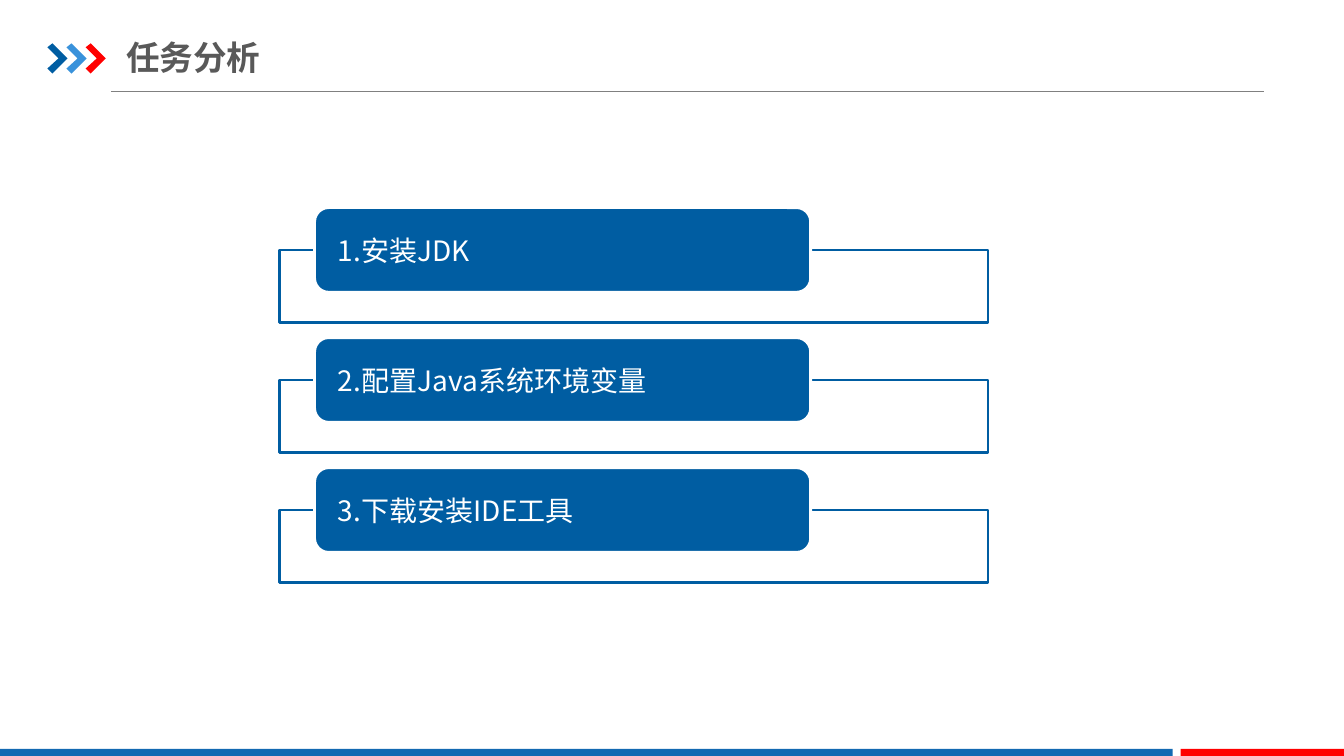
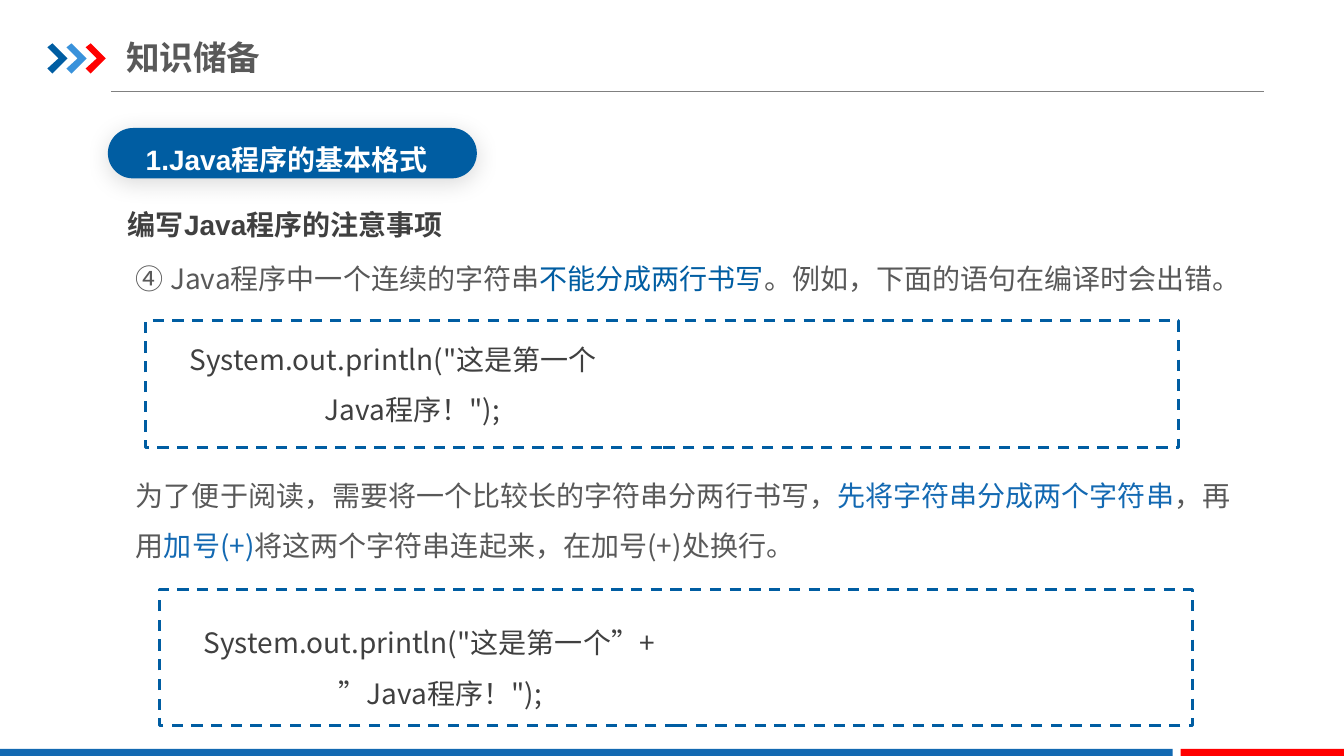
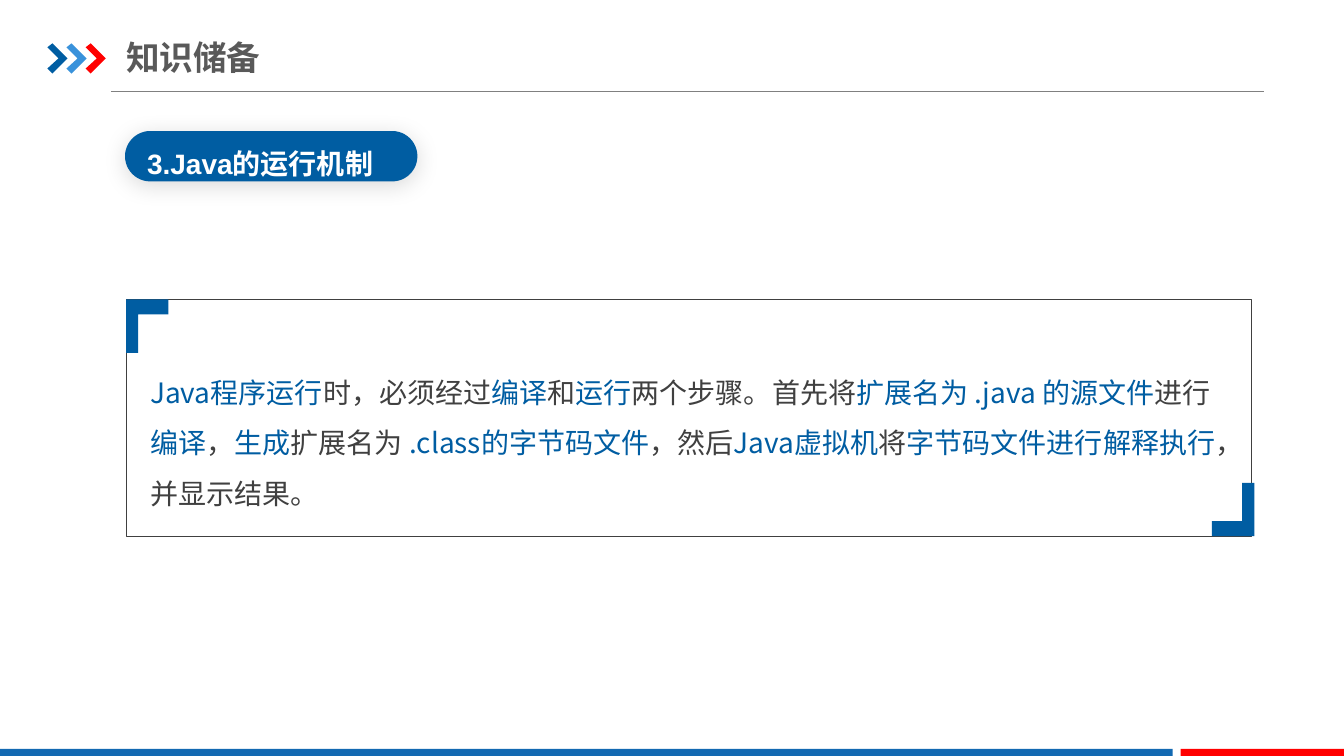
"""Build three Java course slides that share one decorated layout."""
from dataclasses import dataclass

from lxml import etree
from pptx import Presentation
from pptx.dml.color import RGBColor
from pptx.enum.dml import MSO_LINE
from pptx.enum.shapes import MSO_CONNECTOR, MSO_SHAPE
from pptx.enum.text import MSO_ANCHOR, PP_ALIGN
from pptx.oxml.ns import qn
from pptx.util import Inches, Pt


@dataclass(frozen=True)
class Theme:
    blue: str = "005DA2"
    bright: str = "1369B2"
    sky: str = "3992DB"
    red: str = "FF0000"
    white: str = "FFFFFF"
    rule: str = "808080"
    gray: str = "595959"
    dark: str = "404040"
    cjk: str = "Noto Sans CJK SC"
    latin: str = "Arial"
    title: int = 24
    body: int = 20


T = Theme()

STEPS = ["1.安装JDK", "2.配置Java系统环境变量", "3.下载安装IDE工具"]

NOTES_HEAD = "编写Java程序的注意事项"
NOTES = [
    ((1.25, 2.38, 11.26, 0.6), [
        ("④ Java程序中一个连续的字符串", T.gray),
        ("不能分成两行书写", T.blue),
        ("。例如，下面的语句在编译时会出错。", T.gray)]),
    ((1.25, 4.53, 11.07, 1.11), [
        ("为了便于阅读，需要将一个比较长的字符串分两行书写，", T.gray),
        ("先将字符串分成两个字符串", T.bright),
        ("，再用", T.gray),
        ("加号(+)", T.bright),
        ("将这两个字符串连起来，在加号(+)处换行。", T.gray)]),
]
CODE = [
    ((1.44, 3.18, 10.25, 1.26), 0.05,
     ['System.out.println("这是第一个', 'Java程序！");']),
    ((1.58, 5.85, 10.25, 1.35), 0.19,
     ['System.out.println("这是第一个”+', '”Java程序！");']),
]
CODE_INDENT = 1.34

RUNTIME = [
    ("Java程序运行", T.blue), ("时，必须经过", T.dark), ("编译", T.blue),
    ("和", T.dark), ("运行", T.blue), ("两个步骤。首先将", T.dark),
    ("扩展名为 .java 的源文件", T.blue), ("进行", T.dark), ("编译", T.blue),
    ("，", T.dark), ("生成", T.blue), ("扩展名为", T.dark),
    (" .class的字节码文件", T.blue), ("，然后", T.dark),
    ("Java虚拟机", T.blue), ("将", T.dark),
    ("字节码文件进行解释执行", T.blue), ("，并显示结果。", T.dark),
]


def rgb(color):
    return RGBColor.from_string(color)


def box(at):
    return [Inches(v) for v in at]


def style(r, color, size=T.body, font=T.cjk, bold=False):
    r.font.size, r.font.bold, r.font.name = Pt(size), bold, font
    r.font.color.rgb = rgb(color)
    ea = etree.SubElement(r.font._element, qn("a:ea"))
    ea.set("typeface", T.cjk)


def frame(tf, insets=(0.1, 0.05, 0.1, 0.05), anchor=MSO_ANCHOR.TOP):
    tf.word_wrap = True
    tf.vertical_anchor = anchor
    (tf.margin_left, tf.margin_top,
     tf.margin_right, tf.margin_bottom) = box(insets)


def write(tf, paragraphs, spacing=None, align=PP_ALIGN.LEFT, **look):
    for i, runs in enumerate(paragraphs):
        p = tf.paragraphs[0] if i == 0 else tf.add_paragraph()
        p.alignment = align
        if spacing:
            p.line_spacing = spacing
        for text, color in runs:
            r = p.add_run()
            r.text = text
            style(r, color, **look)


def paint(sp, fill=None, line=None, width=2):
    sp.shadow.inherit = False
    if fill:
        sp.fill.solid()
        sp.fill.fore_color.rgb = rgb(fill)
    else:
        sp.fill.background()
    if line:
        sp.line.color.rgb = rgb(line)
        sp.line.width = Pt(width)
    else:
        sp.line.fill.background()
    return sp


def shape(s, at, kind=MSO_SHAPE.RECTANGLE, **colors):
    return paint(s.shapes.add_shape(kind, *box(at)), **colors)


def polygon(s, points, fill):
    start, *rest = [tuple(box(pt)) for pt in points]
    fb = s.shapes.build_freeform(*start)
    fb.add_line_segments(rest, close=True)
    return paint(fb.convert_to_shape(), fill=fill)


def textbox(s, at, paragraphs, **look):
    tf = s.shapes.add_textbox(*box(at)).text_frame
    frame(tf)
    write(tf, paragraphs, **look)


def pill(s, at, label_at, text):
    sp = shape(s, at, MSO_SHAPE.ROUNDED_RECTANGLE, fill=T.blue)
    sp.adjustments[0] = 0.5
    effects = sp.element.spPr.find(qn("a:effectLst"))
    shadow = etree.SubElement(effects, qn("a:outerShdw"), blurRad=str(Pt(17)),
                              dist=str(Pt(3)), dir="5400000", rotWithShape="0")
    color = etree.SubElement(shadow, qn("a:srgbClr"), val="000000")
    etree.SubElement(color, qn("a:alpha"), val="15000")
    textbox(s, label_at, [[(text, T.white)]], spacing=1.35,
            align=PP_ALIGN.CENTER, font=T.latin, bold=True)


def decorate(layout, s):
    """Draw the shared parts on a slide and move them to its layout."""
    rule = s.shapes.add_connector(MSO_CONNECTOR.STRAIGHT,
                                  *box((1.1, 0.91, 12.54, 0.91)))
    rule.line.color.rgb = rgb(T.rule)
    rule.line.width = Pt(0.75)
    etree.SubElement(rule.element.spPr, qn("a:effectLst"))
    parts = [rule]
    chevron = [(0, 0.47), (0.05, 0.43), (0.2, 0.58),
               (0.05, 0.73), (0, 0.68), (0.11, 0.58)]
    for i, color in enumerate((T.blue, T.sky, T.red)):
        left = 0.47 + 0.19 * i
        parts.append(polygon(s, [(left + x, y) for x, y in chevron], color))
    for left, width, color in ((0, 11.63, T.bright), (11.71, 1.63, T.red)):
        parts.append(shape(s, (left, 7.43, width, 0.09), fill=color))
    for part in parts:
        layout.shapes.element.append(part.element)


def prepare(layout):
    title, *others = layout.placeholders
    for ph in others:
        ph.element.getparent().remove(ph.element)
    title.left, title.top, title.width, title.height = box(
        (1.25, 0.29, 4.26, 0.55))


def new_slide(prs, layout, title):
    s = prs.slides.add_slide(layout)
    tf = s.shapes.title.text_frame
    tf.text = title
    frame(tf, (0, 0.07, 0, 0.07), MSO_ANCHOR.MIDDLE)
    tf.paragraphs[0].alignment = PP_ALIGN.LEFT
    style(tf.paragraphs[0].runs[0], T.gray, T.title, bold=True)
    return s


def steps_slide(s):
    for i, text in enumerate(STEPS):
        top = 2.06 + 1.29 * i
        shape(s, (2.77, top + 0.42, 7.03, 0.72), fill=T.white, line=T.blue)
        sp = shape(s, (3.12, top, 4.92, 0.84), MSO_SHAPE.ROUNDED_RECTANGLE,
                   fill=T.blue, line=T.white)
        frame(sp.text_frame, (0.19, 0, 0.19, 0), MSO_ANCHOR.MIDDLE)
        write(sp.text_frame, [[(text, T.white)]])


def format_slide(s):
    pill(s, (1.07, 1.27, 3.66, 0.5), (0.98, 1.25, 3.73, 0.55),
         "1.Java程序的基本格式")
    textbox(s, (1.17, 2.01, 3.92, 0.44), [[(NOTES_HEAD, T.dark)]],
            font=T.latin, bold=True)
    for at, runs in NOTES:
        textbox(s, at, [runs], spacing=1.5)
    for at, top, lines in CODE:
        sp = shape(s, at, line=T.blue)
        sp.line.dash_style = MSO_LINE.DASH
        tf = sp.text_frame
        frame(tf, (0.44, top, 0.1, 0.05))
        write(tf, [[(line, T.dark)] for line in lines], spacing=1.5)
        pPr = tf.paragraphs[1]._p.get_or_add_pPr()
        pPr.set("marL", str(Inches(CODE_INDENT)))


def runtime_slide(s):
    pill(s, (1.24, 1.3, 2.9, 0.5), (1.25, 1.29, 2.66, 0.55),
         "3.Java的运行机制")
    sp = shape(s, (1.25, 2.97, 11.16, 2.35), line=T.dark, width=0.25)
    frame(sp.text_frame, (0.24, 0.37, 0.26, 0.05), MSO_ANCHOR.MIDDLE)
    write(sp.text_frame, [RUNTIME], spacing=1.5)
    bracket = [(0, 0), (0.42, 0), (0.42, 0.15),
               (0.12, 0.15), (0.12, 0.53), (0, 0.53)]
    for left, top, sign in ((1.25, 2.97, 1), (12.44, 5.32, -1)):
        polygon(s, [(left + sign * x, top + sign * y) for x, y in bracket],
                T.blue)


def main():
    prs = Presentation()
    prs.slide_width, prs.slide_height = Inches(13.33), Inches(7.5)
    layout = prs.slide_layouts[5]
    prepare(layout)
    pages = [("任务分析", steps_slide), ("知识储备", format_slide),
             ("知识储备", runtime_slide)]
    for i, (title, fill_page) in enumerate(pages):
        s = new_slide(prs, layout, title)
        if i == 0:
            decorate(layout, s)
        fill_page(s)
    prs.save("out.pptx")


if __name__ == "__main__":
    main()
